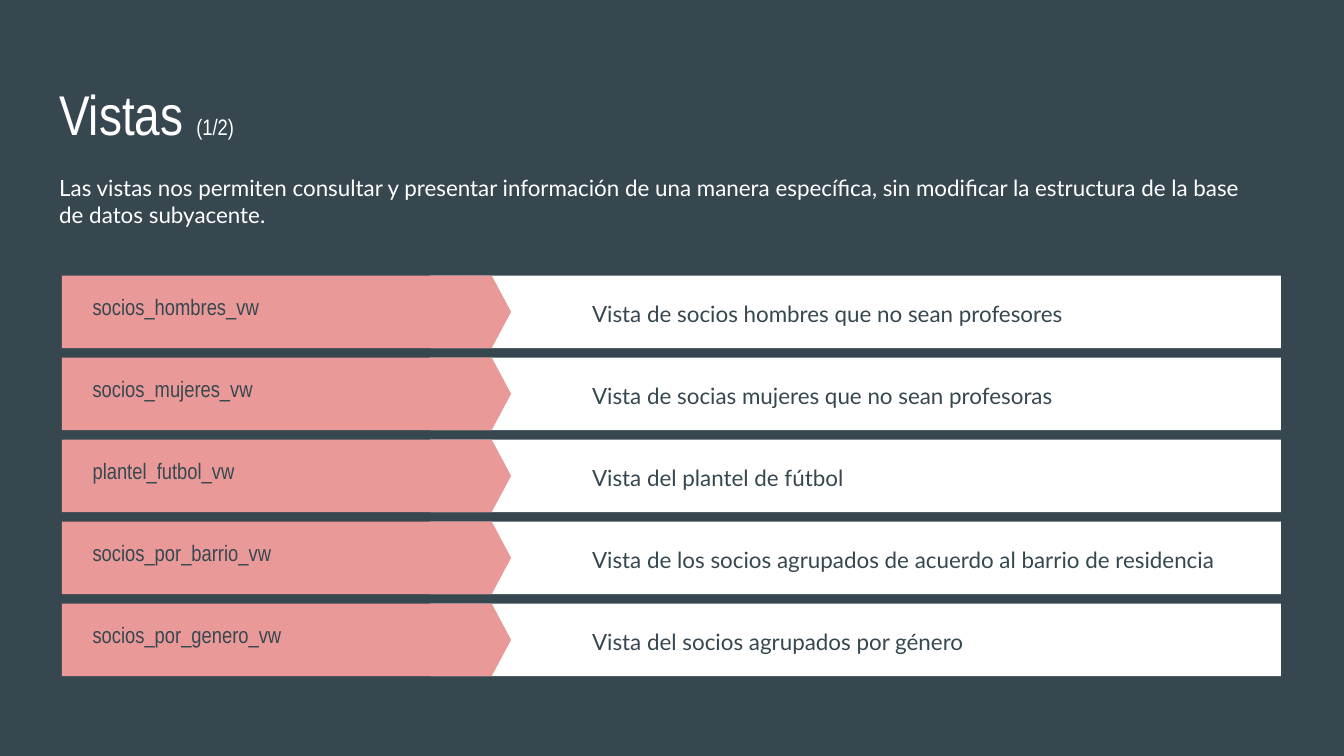
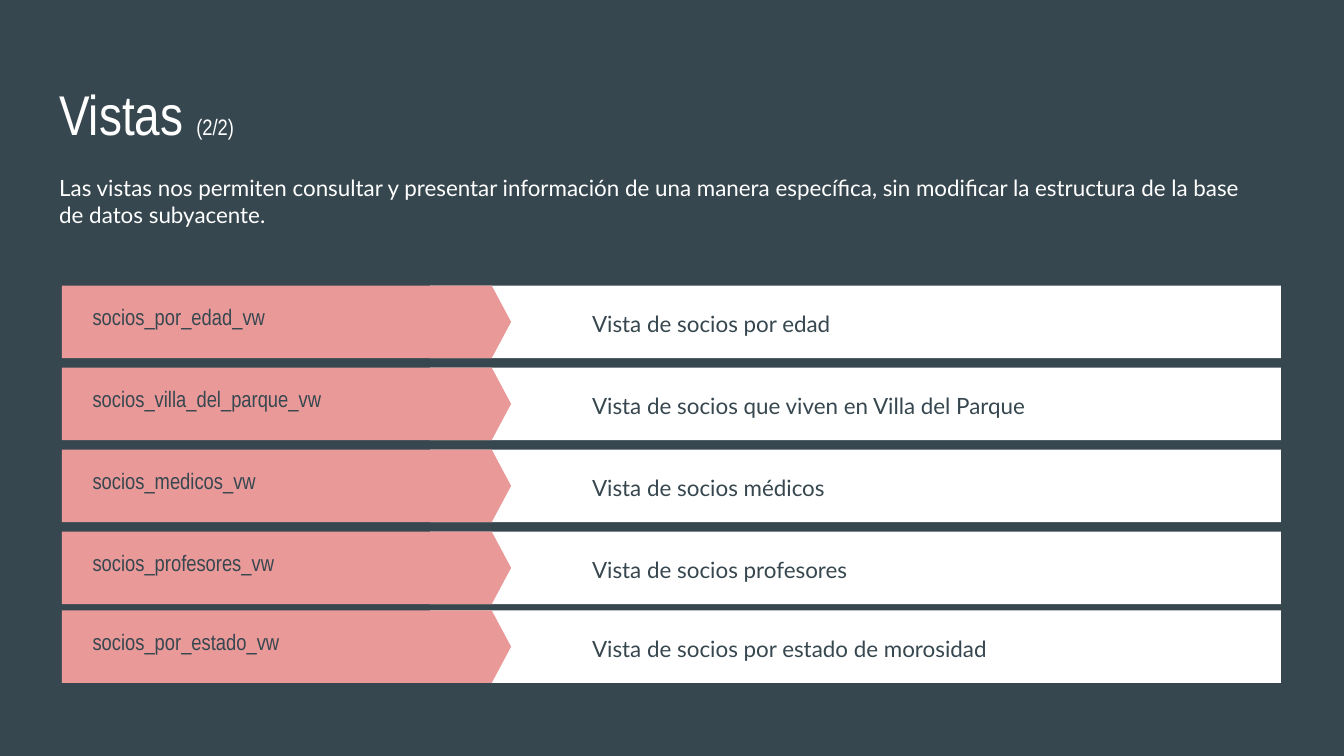
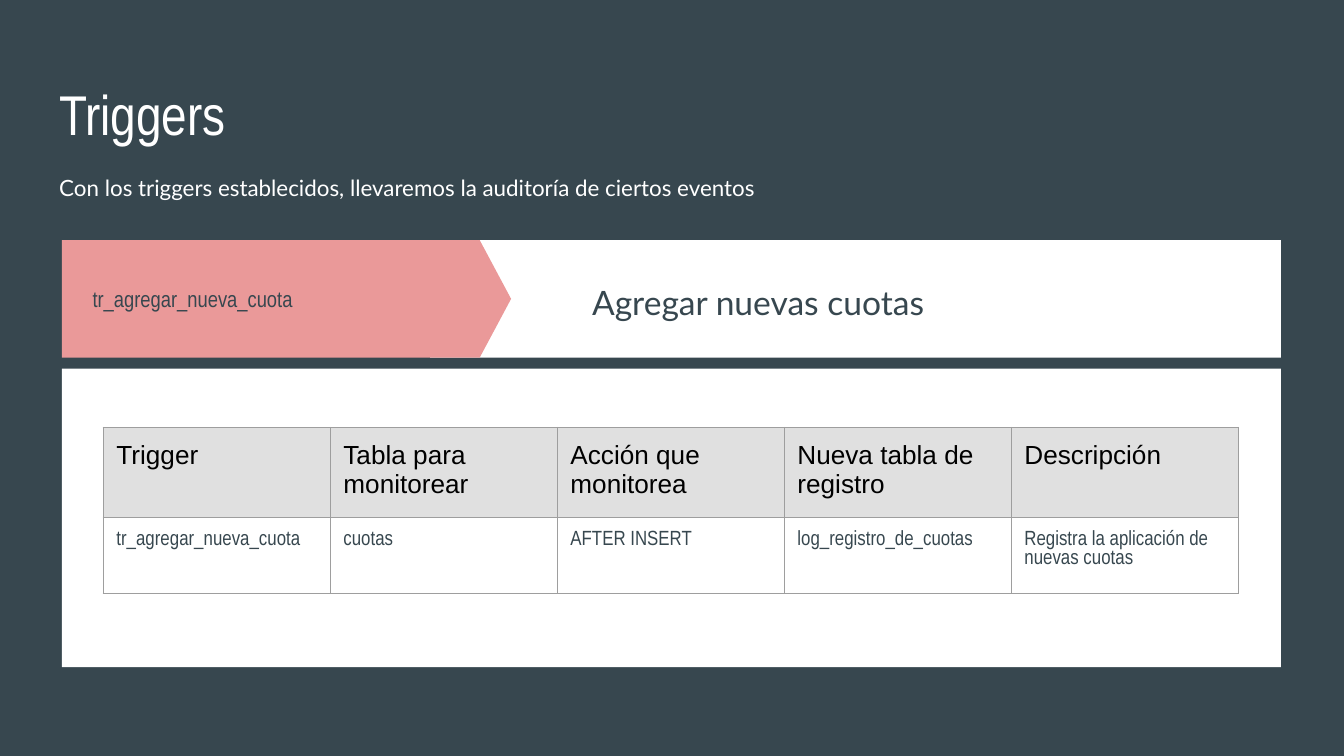
from dataclasses import dataclass

from lxml import etree
from pptx import Presentation
from pptx.dml.color import RGBColor
from pptx.enum.shapes import MSO_SHAPE
from pptx.enum.text import MSO_ANCHOR, MSO_AUTO_SIZE
from pptx.oxml.ns import qn
from pptx.util import Cm, Pt


@dataclass(frozen=True)
class Theme:
    # Colours
    dark: str = "37474F"
    white: str = "FFFFFF"
    pink: str = "EA9999"
    black: str = "000000"
    header: str = "E0E0E0"
    border: str = "9E9E9E"
    # Fonts
    narrow: str = "Arial Narrow"
    body: str = "Lato"
    table: str = "Arial"
    # Type sizes
    title_size: int = 30
    text_size: int = 12
    large_size: int = 18
    header_size: int = 14
    cell_size: int = 11


# Shared layout, in centimetres
LEFT, WIDTH = 1.17, 23.04
ROW_HEIGHT, ROW_PITCH = 1.37, 1.55


class Deck:
    def __init__(self, theme):
        self.theme = theme
        self.prs = Presentation()
        self.prs.slide_width, self.prs.slide_height = Cm(25.4), Cm(14.29)
        self.s = None

    def add_slide(self, title, intro, page=None):
        t = self.theme
        self.s = self.prs.slides.add_slide(self.prs.slide_layouts[6])
        fill = self.s.background.fill
        fill.solid()
        fill.fore_color.rgb = RGBColor.from_string(t.dark)

        p = self.text(title, 0.87, 1.25, 23.67, 1.6, t.narrow, t.title_size, t.white)
        if page:
            r = p.add_run()
            r.text = page
            r.font.size = Pt(t.text_size)

        p = self.text(intro, 0.87, 3.05, WIDTH, 1.02, t.body, t.text_size, t.white,
                      grow=True)
        p.space_before, p.space_after = Pt(5), Pt(10)

    def style(self, p, font, size, color):
        p.font.name, p.font.size = font, Pt(size)
        p.font.color.rgb = RGBColor.from_string(color)

    def text(self, text, x, y, w, h, font, size, color,
             anchor=MSO_ANCHOR.TOP, grow=False):
        tf = self.s.shapes.add_textbox(Cm(x), Cm(y), Cm(w), Cm(h)).text_frame
        tf.word_wrap = True
        tf.auto_size = MSO_AUTO_SIZE.SHAPE_TO_FIT_TEXT if grow else MSO_AUTO_SIZE.NONE
        tf.vertical_anchor = anchor
        tf.margin_left = tf.margin_right = tf.margin_top = tf.margin_bottom = Cm(0.25)
        p = tf.paragraphs[0]
        p.add_run().text = text
        self.style(p, font, size, color)
        return p

    def shape(self, kind, x, y, w, h, color, shapes=None):
        shapes = self.s.shapes if shapes is None else shapes
        sp = shapes.add_shape(kind, Cm(x), Cm(y), Cm(w), Cm(h))
        sp.shadow.inherit = False
        sp.fill.solid()
        sp.fill.fore_color.rgb = RGBColor.from_string(color)
        sp.line.fill.background()
        return sp

    def arrow_row(self, name, description, y, h=ROW_HEIGHT, label_h=1.17, size=None):
        t = self.theme
        group = self.s.shapes.add_group_shape().shapes
        self.shape(MSO_SHAPE.RECTANGLE, 8.13, y, 16.08, h, t.white, group)
        arrow = self.shape(MSO_SHAPE.PENTAGON, LEFT, y, 8.49, h, t.pink, group)
        arrow.adjustments[0] = 0.267
        self.text(name, 1.5, y, 6.73, label_h, t.narrow, t.text_size, t.dark,
                  MSO_ANCHOR.MIDDLE)
        p = self.text(description, 9.67, y, 14.2, h, t.body, size or t.text_size,
                      t.dark, MSO_ANCHOR.MIDDLE)
        p.line_spacing = 1.15
        p._p.get_or_add_pPr().set("marL", str(Cm(1.27)))

    def cell_border(self, cell):
        tc_pr = cell._tc.get_or_add_tcPr()
        for side in ("a:lnL", "a:lnR", "a:lnT", "a:lnB"):
            ln = etree.SubElement(tc_pr, qn(side), w=str(Pt(0.75)))
            fill = etree.SubElement(ln, qn("a:solidFill"))
            etree.SubElement(fill, qn("a:srgbClr"), val=self.theme.border)

    def table(self, rows, x, y, col_width, row_heights):
        t = self.theme
        n_cols = len(rows[0])
        tbl = self.s.shapes.add_table(len(rows), n_cols, Cm(x), Cm(y),
                                      Cm(col_width * n_cols), Cm(sum(row_heights))).table
        tbl.first_row = tbl.horz_banding = False
        for col in tbl.columns:
            col.width = Cm(col_width)
        for i, (values, height) in enumerate(zip(rows, row_heights)):
            tbl.rows[i].height = Cm(height)
            for j, value in enumerate(values):
                cell = tbl.cell(i, j)
                cell.text = value
                cell.margin_left = cell.margin_right = Cm(0.25)
                cell.margin_top = cell.margin_bottom = Cm(0.25)
                self.cell_border(cell)
                p = cell.text_frame.paragraphs[0]
                if i == 0:
                    cell.fill.solid()
                    cell.fill.fore_color.rgb = RGBColor.from_string(t.header)
                    self.style(p, t.table, t.header_size, t.black)
                else:
                    cell.fill.background()
                    self.style(p, t.narrow, t.cell_size, t.dark)


VIEWS_INTRO = ("Las vistas nos permiten consultar y presentar información de una manera "
               "específica, sin modificar la estructura de la base de datos subyacente.")

# Each page: number, row tops, views
VIEW_PAGES = [
    ("(1/2)", [5.21 + ROW_PITCH * i for i in range(5)], [
        ("socios_hombres_vw", "Vista de socios hombres que no sean profesores"),
        ("socios_mujeres_vw", "Vista de socias mujeres que no sean profesoras"),
        ("plantel_futbol_vw", "Vista del plantel de fútbol"),
        ("socios_por_barrio_vw",
         "Vista de los socios agrupados de acuerdo al barrio de residencia"),
        ("socios_por_genero_vw", "Vista del socios agrupados por género"),
    ]),
    ("(2/2)", [5.4 + ROW_PITCH * i for i in range(4)] + [11.54], [
        ("socios_por_edad_vw", "Vista de socios por edad"),
        ("socios_villa_del_parque_vw", "Vista de socios que viven en Villa del Parque"),
        ("socios_medicos_vw", "Vista de socios médicos"),
        ("socios_profesores_vw", "Vista de socios profesores"),
        ("socios_por_estado_vw", "Vista de socios por estado de morosidad"),
    ]),
]

TRIGGER_ROWS = [
    ["Trigger", "Tabla para monitorear", "Acción que monitorea",
     "Nueva tabla de registro", "Descripción"],
    ["tr_agregar_nueva_cuota", "cuotas", "AFTER INSERT", "log_registro_de_cuotas",
     "Registra la aplicación de nuevas cuotas"],
]


def main():
    theme = Theme()
    deck = Deck(theme)

    # Views
    for page, tops, views in VIEW_PAGES:
        deck.add_slide("Vistas ", VIEWS_INTRO, page)
        for y, (name, description) in zip(tops, views):
            deck.arrow_row(name, description, y)

    # Triggers
    deck.add_slide("Triggers",
                   "Con los triggers establecidos, llevaremos la auditoría de ciertos eventos")
    deck.arrow_row("tr_agregar_nueva_cuota", "Agregar nuevas cuotas", 4.54,
                   h=2.22, label_h=2.22, size=theme.large_size)
    deck.shape(MSO_SHAPE.RECTANGLE, LEFT, 6.97, WIDTH, 5.64, theme.white)
    deck.table(TRIGGER_ROWS, 1.95, 8.08, 4.29, [1.7, 1.44])

    deck.prs.save("out.pptx")


if __name__ == "__main__":
    main()
